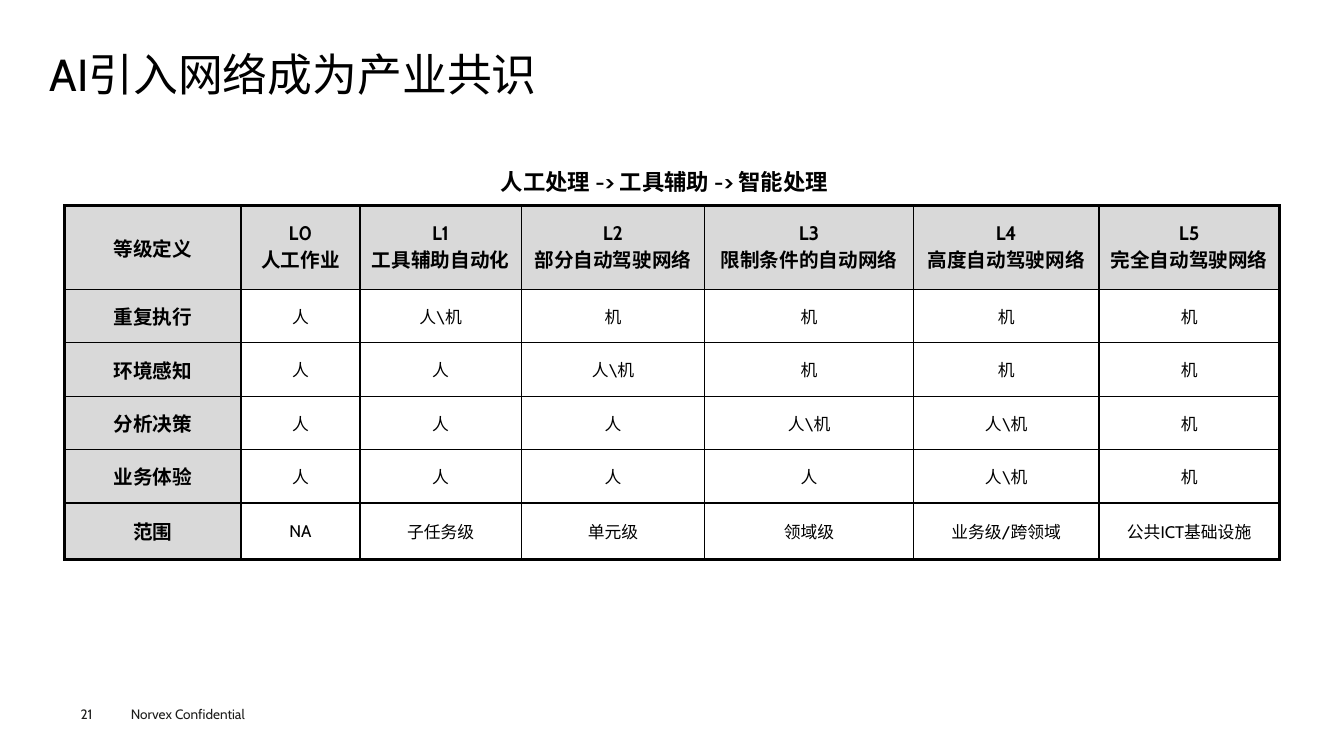
from lxml import etree
from pptx import Presentation
from pptx.dml.color import RGBColor
from pptx.enum.text import MSO_ANCHOR as Anchor, PP_ALIGN as Align
from pptx.oxml.ns import qn
from pptx.util import Inches, Pt

FONT = "Cabin"
BLACK, FOOTER_INK, HEADER_GREY, WHITE = "000000", "1D1D1B", "D9D9D9", "FFFFFF"
THIN, THICK = 1, 2.25

COLUMN_WIDTHS = [1.75, 1.18, 1.6, 1.82, 2.07, 1.84, 1.79]
ROW_HEIGHTS = [0.83, 0.53, 0.53, 0.53, 0.53, 0.56]
HUMAN, MACHINE, BOTH = "人", "机", r"人\机"
LEVELS = [
    ["等级定义", "L0\n人工作业", "L1\n工具辅助自动化", "L2\n部分自动驾驶网络",
     "L3\n限制条件的自动网络", "L4\n高度自动驾驶网络", "L5\n完全自动驾驶网络"],
    ["重复执行", HUMAN, BOTH, MACHINE, MACHINE, MACHINE, MACHINE],
    ["环境感知", HUMAN, HUMAN, BOTH, MACHINE, MACHINE, MACHINE],
    ["分析决策", HUMAN, HUMAN, HUMAN, BOTH, BOTH, MACHINE],
    ["业务体验", HUMAN, HUMAN, HUMAN, HUMAN, BOTH, MACHINE],
    ["范围", "NA", "子任务级", "单元级", "领域级", "业务级/跨领域", "公共ICT基础设施"],
]


def rgb(hex_color):
    return RGBColor.from_string(hex_color)


def write(frame, text, size, color=BLACK, bold=False, align=Align.LEFT, spacing=None):
    """Fill a text frame, one paragraph per line of text."""
    frame.text = text
    for paragraph in frame.paragraphs:
        paragraph.alignment = align
        paragraph.line_spacing = spacing
        for run in paragraph.runs:
            run.font.name = FONT
            run.font.size = Pt(size)
            run.font.bold = bold
            run.font.color.rgb = rgb(color)


def add_label(slide, box, text, size, inset=True, **style):
    frame = slide.shapes.add_textbox(*map(Inches, box)).text_frame
    frame.word_wrap = True
    if not inset:
        frame.margin_left = frame.margin_right = frame.margin_top = frame.margin_bottom = 0
    write(frame, text, size, **style)


def set_borders(cell, widths):
    """Draw the left, right, top and bottom borders, with widths in points."""
    properties = cell._tc.get_or_add_tcPr()
    for position, (side, width) in enumerate(zip("LRTB", widths)):
        line = etree.Element(qn(f"a:ln{side}"), w=str(Pt(width)))
        fill = etree.SubElement(line, qn("a:solidFill"))
        etree.SubElement(fill, qn("a:srgbClr"), val=BLACK)
        properties.insert(position, line)


def add_title(slide, box, text):
    title = slide.shapes.title
    title.left, title.top, title.width, title.height = map(Inches, box)
    frame = title.text_frame
    frame.margin_left = frame.margin_right = frame.margin_top = frame.margin_bottom = 0
    frame.vertical_anchor = Anchor.MIDDLE
    write(frame, text, 32, spacing=0.9)


def add_level_table(slide, box):
    last_row, last_column = len(ROW_HEIGHTS) - 1, len(COLUMN_WIDTHS) - 1
    table = slide.shapes.add_table(
        len(ROW_HEIGHTS), len(COLUMN_WIDTHS), *map(Inches, box)).table
    for column, width in zip(table.columns, COLUMN_WIDTHS):
        column.width = Inches(width)
    for row, height in zip(table.rows, ROW_HEIGHTS):
        row.height = Inches(height)
    for r, entries in enumerate(LEVELS):
        for c, entry in enumerate(entries):
            cell = table.cell(r, c)
            heading = r == 0 or c == 0
            cell.vertical_anchor = Anchor.MIDDLE
            cell.fill.solid()
            cell.fill.fore_color.rgb = rgb(HEADER_GREY if heading else WHITE)
            write(cell.text_frame, entry, 14 if heading else 12,
                  bold=heading, align=Align.CENTER)
            on_edge = (c == 0, c == last_column, r == 0, r == last_row)
            set_borders(cell, [THICK if edge else THIN for edge in on_edge])


def add_footer(slide, left, top):
    add_label(slide, (left, top + 0.05, 0.3, 0.16), "21", 9.7,
              inset=False, color=FOOTER_INK)
    add_label(slide, (left + 0.4, top, 1.6, 0.27), "Norvex Confidential", 9.7,
              color=FOOTER_INK)


def main():
    deck = Presentation()
    deck.slide_width, deck.slide_height = Inches(13.33), Inches(7.5)
    slide = deck.slides.add_slide(deck.slide_layouts[5])
    add_title(slide, (0.49, 0.49, 12.35, 0.54), "AI引入网络成为产业共识")
    add_level_table(slide, (0.64, 2.04, sum(COLUMN_WIDTHS), sum(ROW_HEIGHTS)))
    add_label(slide, (4.87, 1.62, 4.75, 0.37),
              "人工处理 -> 工具辅助 -> 智能处理", 16, bold=True)
    add_footer(slide, 0.8, 6.95)
    deck.save("out.pptx")


if __name__ == "__main__":
    main()
